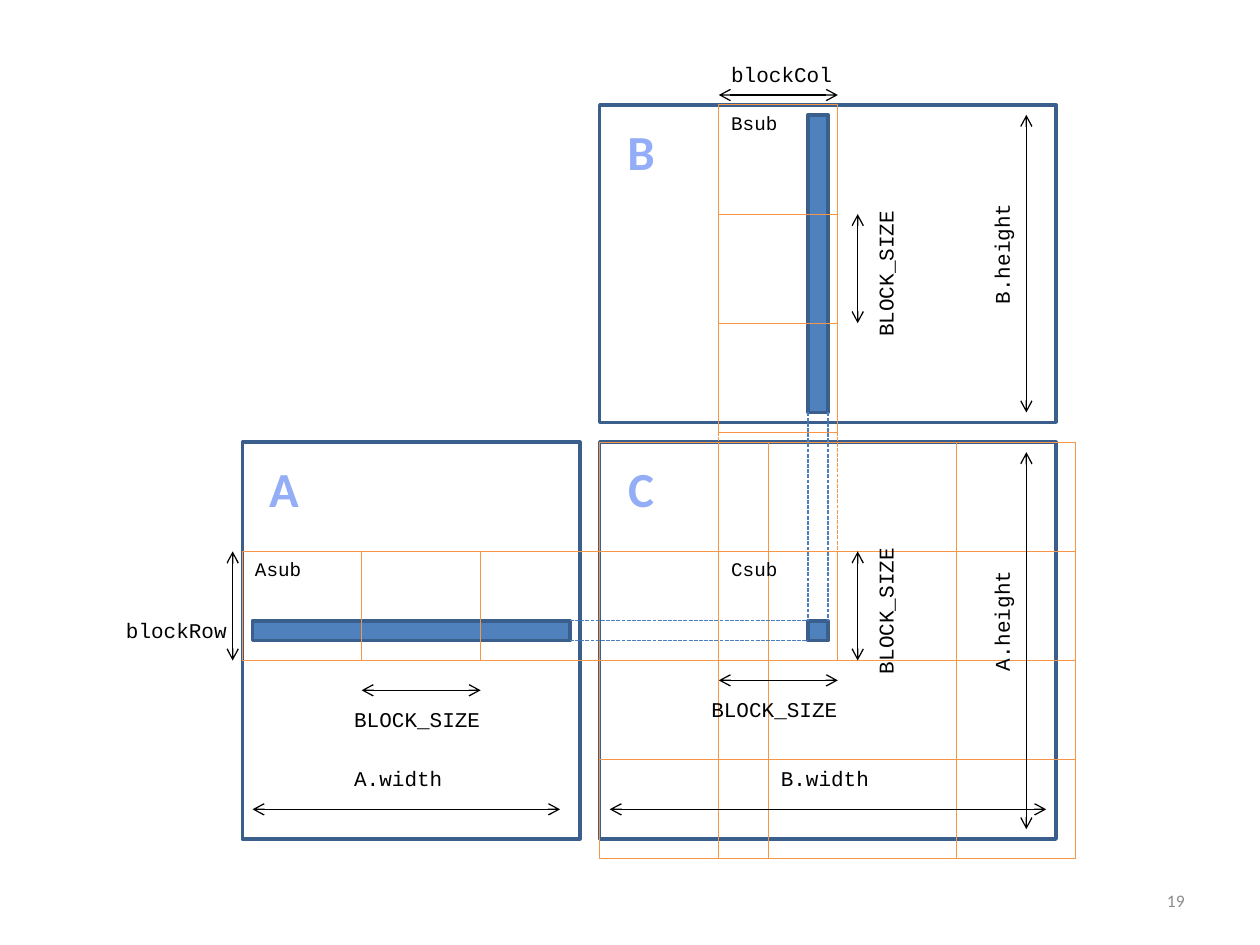
from pptx import Presentation
from pptx.dml.color import RGBColor
from pptx.enum.dml import MSO_LINE
from pptx.enum.shapes import MSO_CONNECTOR, MSO_SHAPE
from pptx.enum.text import MSO_ANCHOR, PP_ALIGN
from pptx.oxml.ns import qn
from pptx.util import Inches, Pt
from lxml.etree import SubElement

UNIT = 0.07874
ORIGIN_X, ORIGIN_Y = 4.76, 3.51
BLOCK_W, BLOCK_H = 12, 11
A_COLS, B_COLS = 34, 46
A_ROWS, B_ROWS = 40, 32
STRIP = 2
ELEMENT_COL, ELEMENT_ROW = 21, 18
BLUE, NAVY, LINK = "4F81BD", "3A5F8C", "4B7EBC"
ORANGE, BLACK, PALE, GREY = "F79646", "000000", "93AEF7", "8C8C8C"


def colour(value):
    return RGBColor.from_string(value)


def place(box, col, row):
    return (Inches(ORIGIN_X + (box[0] + col) * UNIT),
            Inches(ORIGIN_Y + (box[1] + row) * UNIT))


def add_rect(slide, box, col, row, cols, rows, line=NAVY, weight=2, fill=None):
    rect = slide.shapes.add_shape(
        MSO_SHAPE.RECTANGLE, *place(box, col, row), Inches(cols * UNIT), Inches(rows * UNIT))
    rect.shadow.inherit = False
    rect.line.color.rgb = colour(line)
    rect.line.width = Pt(weight)
    if fill:
        rect.fill.solid()
        rect.fill.fore_color.rgb = colour(fill)
    else:
        rect.fill.background()


def add_line(slide, box, start, end, line=BLACK, weight=0.75, dashed=False, arrows=False):
    link = slide.shapes.add_connector(
        MSO_CONNECTOR.STRAIGHT, *place(box, *start), *place(box, *end))
    link.line.color.rgb = colour(line)
    link.line.width = Pt(weight)
    if dashed:
        link.line.dash_style = MSO_LINE.SQUARE_DOT
    if arrows:
        outline = link.line._get_or_add_ln()
        for tag in ("a:headEnd", "a:tailEnd"):
            SubElement(outline, qn(tag), type="arrow")
    SubElement(link._element.spPr, qn("a:effectLst"))


def add_text(slide, text, left, top, width, height, size=12, font="Courier New", color=BLACK,
             bold=False, align=PP_ALIGN.LEFT, anchor=MSO_ANCHOR.TOP, wrap=False, rotation=0):
    holder = slide.shapes.add_textbox(left, top, width, height)
    holder.rotation = rotation
    frame = holder.text_frame
    frame.word_wrap = wrap
    frame.vertical_anchor = anchor
    paragraph = frame.paragraphs[0]
    paragraph.alignment = align
    run = paragraph.add_run()
    run.text = text
    run.font.size = Pt(size)
    run.font.name = font
    run.font.bold = bold
    run.font.color.rgb = colour(color)


def add_label(slide, box, text, col, row, size=12):
    width = Inches(0.2 + len(text) * size / 120)
    add_text(slide, text, *place(box, col, row), width, Inches(0.3), size=size)


def add_upright_label(slide, box, text, center_col, center_row):
    width, height = Inches(0.2 + len(text) * 0.1), Inches(0.3)
    center_x, center_y = place(box, center_col, center_row)
    add_text(slide, text, center_x - width // 2, center_y - height // 2, width, height,
             rotation=270)


def add_measure(slide, box, start, end):
    add_line(slide, box, start, end, arrows=True)


def add_matrix(slide, box, name, cols, rows):
    add_rect(slide, box, 0, 0, cols, rows)
    add_text(slide, name, *place(box, 1, 1), Inches(0.5), Inches(0.57), size=28,
             font="Calibri", color=PALE, bold=True, align=PP_ALIGN.CENTER, wrap=True)


def add_block(slide, box, col, row):
    add_rect(slide, box, col, row, BLOCK_W, BLOCK_H, line=ORANGE, weight=0.5)


def draw_a(slide, box):
    top, bottom = BLOCK_H, 2 * BLOCK_H
    add_matrix(slide, box, "A", A_COLS, A_ROWS)
    add_rect(slide, box, 1, ELEMENT_ROW, A_COLS - 2, STRIP, fill=BLUE)
    for index in range(3):
        add_block(slide, box, index * BLOCK_W, top)
    add_measure(slide, box, (-1, bottom), (-1, top))
    add_measure(slide, box, (BLOCK_W, 25), (2 * BLOCK_W, 25))
    add_measure(slide, box, (1, 37), (A_COLS - 2, 37))
    add_label(slide, box, "Asub", 0, top, size=11)
    add_label(slide, box, "blockRow", -13, 17)
    add_label(slide, box, "BLOCK_SIZE", 10, 26)
    add_label(slide, box, "A.width", 10, 32)


def draw_b(slide, box):
    add_matrix(slide, box, "B", B_COLS, B_ROWS)
    add_rect(slide, box, ELEMENT_COL, 1, STRIP, B_ROWS - 2, fill=BLUE)
    for index in range(3):
        add_block(slide, box, BLOCK_W, index * BLOCK_H)
    add_measure(slide, box, (BLOCK_W, -1), (2 * BLOCK_W, -1))
    add_measure(slide, box, (26, 2 * BLOCK_H), (26, BLOCK_H))
    add_measure(slide, box, (43, 1), (43, B_ROWS - 1))
    add_label(slide, box, "blockCol", BLOCK_W, -5)
    add_label(slide, box, "Bsub", BLOCK_W, 0, size=11)
    add_upright_label(slide, box, "BLOCK_SIZE", 28.8, 17)
    add_upright_label(slide, box, "B.height", 40.5, 15)


def draw_c(slide, box):
    grid_cols, grid_rows = B_COLS + 2, A_ROWS + 2
    add_matrix(slide, box, "C", B_COLS, A_ROWS)
    add_rect(slide, box, ELEMENT_COL, ELEMENT_ROW, STRIP, STRIP, fill=BLUE)
    add_rect(slide, box, 0, 0, grid_cols, grid_rows, line=ORANGE, weight=0.5)
    for col in (BLOCK_W, 17, 36):
        add_line(slide, box, (col, 0), (col, grid_rows), line=ORANGE, weight=0.5)
    for row in (BLOCK_H, 2 * BLOCK_H, 32):
        add_line(slide, box, (0, row), (grid_cols, row), line=ORANGE, weight=0.5)
    add_block(slide, box, BLOCK_W, BLOCK_H)
    add_measure(slide, box, (BLOCK_W, 24), (2 * BLOCK_W, 24))
    add_measure(slide, box, (26, 2 * BLOCK_H), (26, BLOCK_H))
    add_measure(slide, box, (1, 37), (B_COLS - 1, 37))
    add_measure(slide, box, (43, 1), (43, A_ROWS - 1))
    add_label(slide, box, "Csub", BLOCK_W, BLOCK_H, size=11)
    add_label(slide, box, "BLOCK_SIZE", 10, 25)
    add_label(slide, box, "B.width", 17, 32)
    add_upright_label(slide, box, "BLOCK_SIZE", 28.8, 17)
    add_upright_label(slide, box, "A.height", 40.5, 18)


def draw_projections(slide, box):
    for offset in (0, STRIP):
        row, col = ELEMENT_ROW + offset, ELEMENT_COL + offset
        add_line(slide, box, (-3, row), (ELEMENT_COL, row), line=LINK, dashed=True)
        add_line(slide, box, (col, -3), (col, ELEMENT_ROW), line=LINK, dashed=True)
    for step in (1, 2):
        col, row = step * BLOCK_W, step * BLOCK_H
        add_line(slide, box, (col, -1), (col, BLOCK_H), line=ORANGE, dashed=True)
        add_line(slide, box, (BLOCK_W, row), (0, row), line=ORANGE, dashed=True)


def draw_page_number(slide, width, height):
    add_text(slide, "19", int(width * 0.717), int(height * 0.927), int(width * 0.233),
             int(height * 0.053), size=10, font="Calibri", color=GREY,
             align=PP_ALIGN.RIGHT, anchor=MSO_ANCHOR.MIDDLE, wrap=True)


def main():
    deck = Presentation()
    deck.slide_width, deck.slide_height = Inches(10), Inches(7.5)
    slide = deck.slides.add_slide(deck.slide_layouts[6])
    product_box = (0, 0)
    draw_c(slide, product_box)
    draw_a(slide, (-A_COLS - 2, 0))
    draw_b(slide, (0, -B_ROWS - 2))
    draw_projections(slide, product_box)
    draw_page_number(slide, deck.slide_width, deck.slide_height)
    deck.save("out.pptx")


if __name__ == "__main__":
    main()
